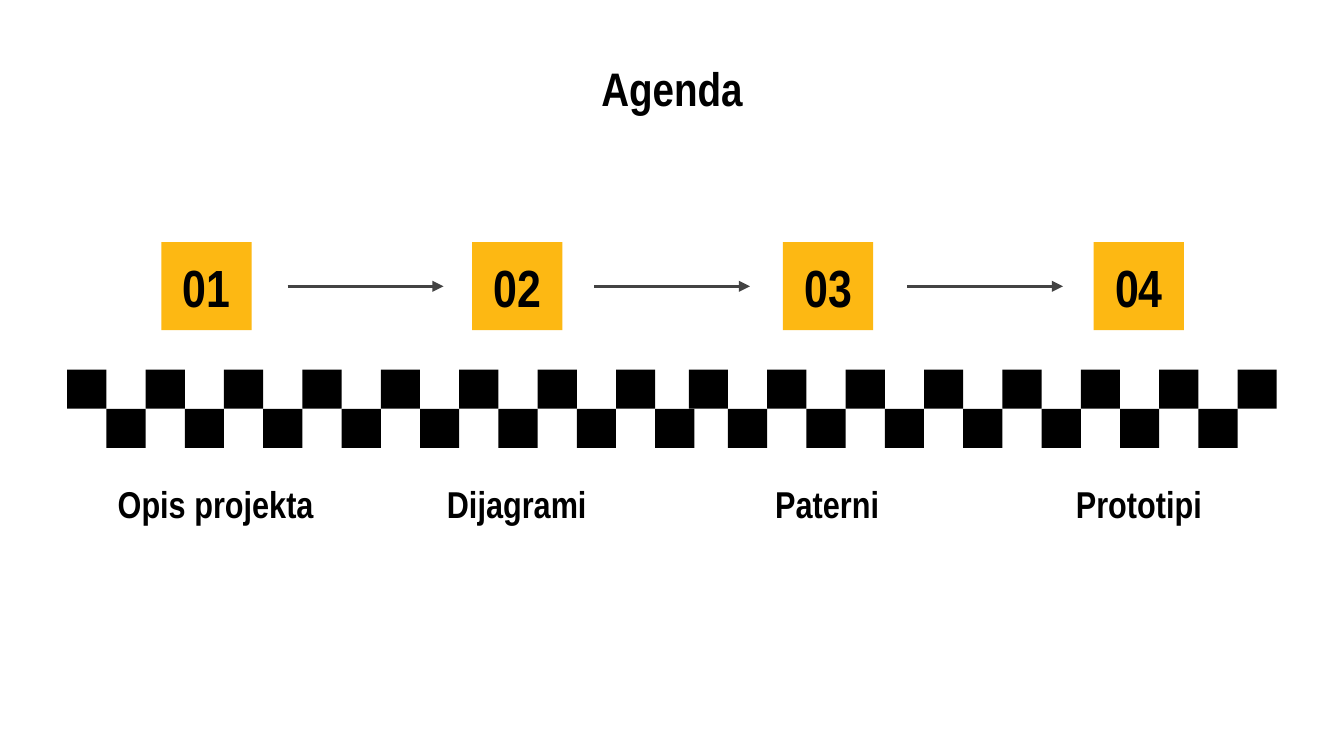
"""Build the agenda slide: four numbered steps above a checkered band."""
from lxml.etree import SubElement
from pptx import Presentation
from pptx.dml.color import RGBColor
from pptx.enum.shapes import MSO_CONNECTOR, MSO_SHAPE
from pptx.enum.text import MSO_ANCHOR, MSO_AUTO_SIZE, PP_ALIGN
from pptx.oxml.ns import qn
from pptx.util import Pt

TITLE = "Agenda"
STEPS = [("01", "Opis projekta", 50.4), ("02", "Dijagrami", 211.7),
         ("03", "Paterni", 378), ("04", "Prototipi", 545)]
ARROW_LEFTS = [154.1, 318.3, 486]
CHECKER_RUNS = [(36, 16), (369, 15)]
FONT, BLACK, YELLOW, GREY = "Arial Narrow", "000000", "FDB813", "434343"
CELL, CHECKER_TOP = 21, 198
STEP_LEFT, STEP_PITCH, STEP_TOP, STEP_W, STEP_H = 86.4, 166.5, 129.8, 48.4, 47.1
LABEL_TOP, LABEL_W, LABEL_H = 257, 130.3, 26
ARROW_Y, ARROW_W = 153.4, 83.5


def color(hex_code):
    return RGBColor.from_string(hex_code)


def write(shape, text, size, fill=BLACK, bold=True):
    tf = shape.text_frame
    tf.word_wrap = True
    tf.auto_size = MSO_AUTO_SIZE.NONE
    tf.vertical_anchor = MSO_ANCHOR.MIDDLE
    tf.margin_left = tf.margin_right = tf.margin_top = tf.margin_bottom = Pt(7.2)
    p = tf.paragraphs[0]
    p.alignment = PP_ALIGN.CENTER
    r = p.add_run()
    r.text = text
    r.font.name, r.font.size, r.font.bold = FONT, Pt(size), bold
    r.font.color.rgb = color(fill)


def add_rect(s, left, top, width, height, fill):
    sp = s.shapes.add_shape(MSO_SHAPE.RECTANGLE, Pt(left), Pt(top), Pt(width), Pt(height))
    sp.shadow.inherit = False
    sp.fill.solid()
    sp.fill.fore_color.rgb = color(fill)
    sp.line.fill.background()
    return sp


def add_arrow(s, left):
    arrow = s.shapes.add_connector(MSO_CONNECTOR.STRAIGHT, Pt(left), Pt(ARROW_Y),
                                   Pt(left + ARROW_W), Pt(ARROW_Y))
    arrow.line.color.rgb = color(GREY)
    arrow.line.width = Pt(1.5)
    SubElement(arrow.line._get_or_add_ln(), qn("a:tailEnd"), type="triangle")
    SubElement(arrow._element.spPr, qn("a:effectLst"))


def main():
    prs = Presentation()
    prs.slide_width, prs.slide_height = Pt(720), Pt(405)
    s = prs.slides.add_slide(prs.slide_layouts[5])

    title = s.shapes.title
    title.left, title.top, title.width, title.height = Pt(36), Pt(32.4), Pt(648), Pt(29.5)
    write(title, TITLE, 25.2)

    for left, count in CHECKER_RUNS:
        for i in range(count):
            add_rect(s, left + i * CELL, CHECKER_TOP + i % 2 * CELL, CELL, CELL, BLACK)

    for i, (number, label, label_left) in enumerate(STEPS):
        box = s.shapes.add_textbox(Pt(label_left), Pt(LABEL_TOP), Pt(LABEL_W), Pt(LABEL_H))
        write(box, label, 20)
        square = add_rect(s, STEP_LEFT + i * STEP_PITCH, STEP_TOP, STEP_W, STEP_H, YELLOW)
        write(square, number, 28)

    for left in ARROW_LEFTS:
        add_arrow(s, left)

    prs.save("out.pptx")


if __name__ == "__main__":
    main()
